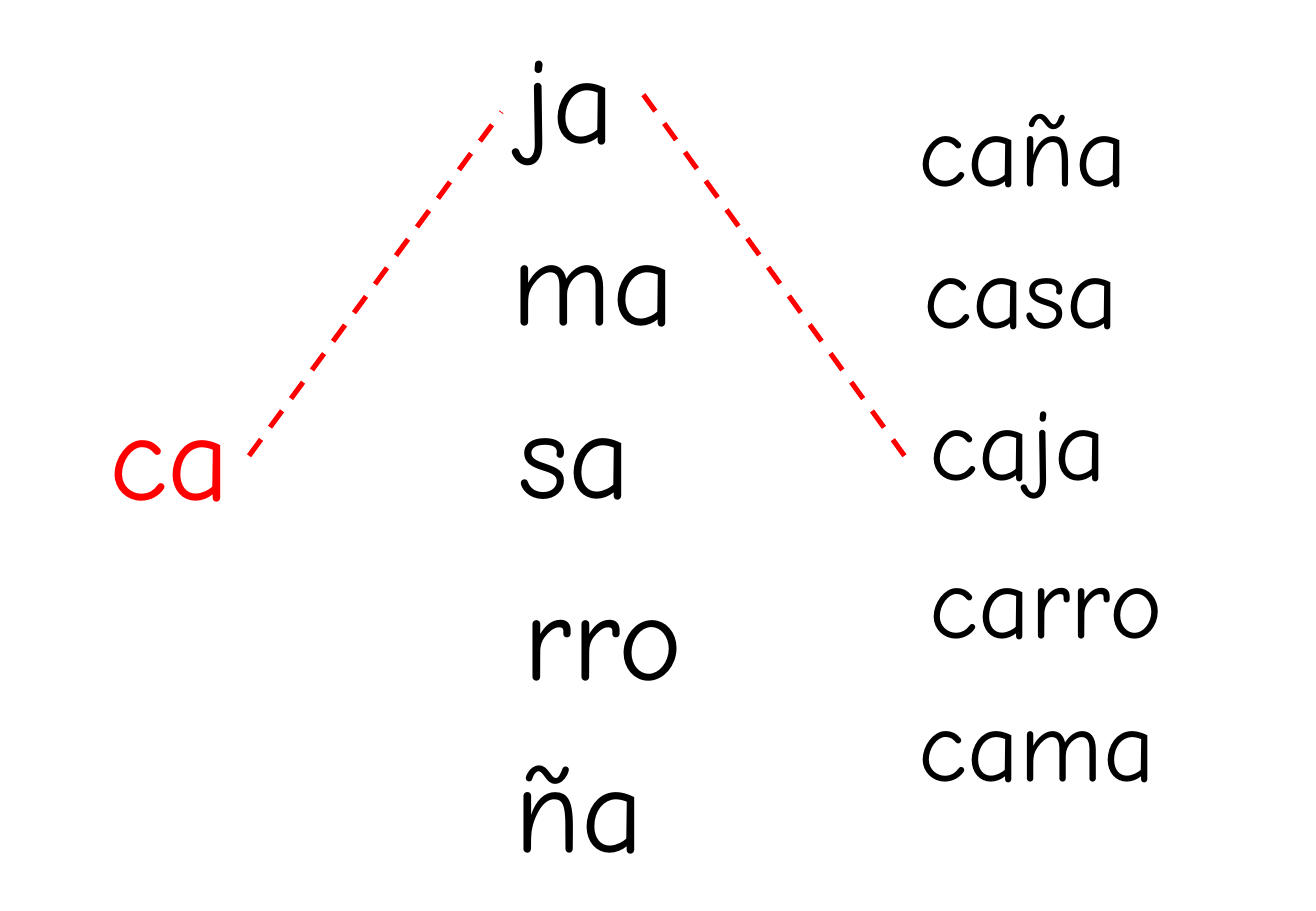
from lxml import etree
from pptx import Presentation
from pptx.dml.color import RGBColor
from pptx.enum.dml import MSO_LINE
from pptx.enum.shapes import MSO_CONNECTOR
from pptx.enum.text import MSO_AUTO_SIZE
from pptx.oxml.ns import qn
from pptx.util import Cm, Pt

STRAIGHT = MSO_CONNECTOR.STRAIGHT
DASH = MSO_LINE.DASH
FIT_SHAPE = MSO_AUTO_SIZE.SHAPE_TO_FIT_TEXT
FONT = "Comic Neue"
COLORS = {"ink": "000000", "accent": "FF0000", "paper": "FFFFFF"}

ENDINGS = [
    ("ja", 0.25, 0, 2.45),
    ("ma", 0, 3.81, 4),
    ("sa", 0.13, 7.42, 2.95),
    ("rro", 0.25, 11.23, 3.95),
    ("ña", 0.05, 14.83, 3.3),
]
WORDS = [
    ("caña", 0, 0, 4.95),
    ("casa", 0.1, 2.97, 4.7),
    ("caja", 0.23, 6.15, 4.3),
    ("carro", 0.23, 9.47, 5.5),
    ("cama", 0, 12.45, 5.55),
]


def color(name):
    """Return the named colour."""
    return RGBColor.from_string(COLORS[name])


def add_text(s, text, x, y, w, h, size=72, ink="ink"):
    """Add one unwrapped line of text."""
    sp = s.shapes.add_textbox(Cm(x), Cm(y), Cm(w), Cm(h))
    tf = sp.text_frame
    tf.word_wrap = False
    tf.auto_size = FIT_SHAPE
    r = tf.paragraphs[0].add_run()
    r.text = text
    r.font.name = FONT
    r.font.size = Pt(size)
    r.font.color.rgb = color(ink)


def add_column(s, items, left, top, height, **fmt):
    """Place syllables or words by their offsets from the column corner."""
    for text, dx, dy, width in items:
        add_text(s, text, left + dx, top + dy, width, height, **fmt)


def add_link(s, x1, y1, x2, y2):
    """Draw a dashed link between two syllables or words."""
    link = s.shapes.add_connector(STRAIGHT, Cm(x1), Cm(y1), Cm(x2), Cm(y2))
    link.line.color.rgb = color("accent")
    link.line.width = Pt(3)
    link.line.dash_style = DASH
    etree.SubElement(link.element.spPr, qn("a:effectLst"))


def build_slide(prs):
    """Build the syllable matching slide."""
    s = prs.slides.add_slide(prs.slide_layouts[6])
    s.background.fill.solid()
    s.background.fill.fore_color.rgb = color("paper")
    add_column(s, ENDINGS, 10.46, 0.33, 3.3)
    add_column(s, WORDS, 18.97, 1.65, 2.79, size=60)
    add_column(s, [("ca", 0, 0, 3.1)], 2.04, 7.8, 3.3, ink="accent")
    add_link(s, 5.21, 9.53, 10.49, 2.34)
    add_link(s, 13.46, 1.98, 18.92, 9.53)


def main():
    """Create and save the presentation."""
    prs = Presentation()
    prs.slide_width, prs.slide_height = Cm(27.53), Cm(19.05)
    build_slide(prs)
    prs.save("out.pptx")


if __name__ == "__main__":
    main()
